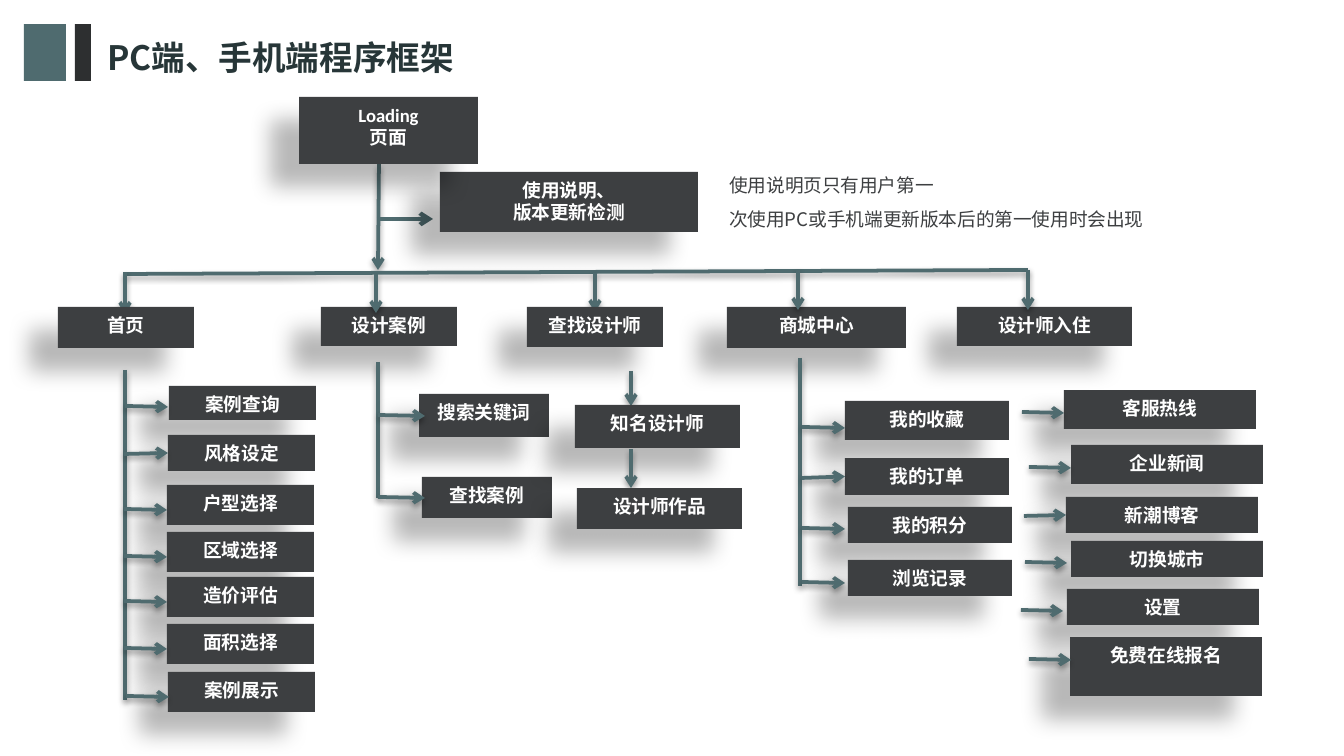
import pptx
import pptx.dml.color
import pptx.enum.shapes
import pptx.enum.text
import pptx.oxml
import pptx.oxml.ns
import pptx.util

RGB = pptx.dml.color.RGBColor
TEAL = RGB(0x4F, 0x6B, 0x6F)
BAR = RGB(0x2D, 0x2F, 0x30)
BOX = RGB(0x3D, 0x3F, 0x41)
TITLE = RGB(0x27, 0x36, 0x38)
WHITE = RGB(0xFF, 0xFF, 0xFF)
CJK = "Noto Sans CJK SC"
LATIN = "Calibri"
PX = 914400 / 134.4

# Shadows: blur and distance in EMU, direction in degrees, opacity in percent
BOX_SHADOW = (150000, 250000, 141, 28)
LINE_SHADOW = (40000, 20000, 90, 38)

# Sections: text, box, arrow x, top and tip, arrow drawn behind the box
SECTIONS = [
    ("首页", (58, 307, 136, 41), (125, 272, 314), True),
    ("设计案例", (321, 307, 136, 39), (376, 274, 313), False),
    ("查找设计师", (527, 307, 136, 40), (595, 273, 312), True),
    ("商城中心", (727, 307, 179, 41), (798, 270, 310), False),
    ("设计师入住", (957, 307, 175, 39), (1028, 270, 310), False),
]

# Columns: box width, arrow length, then text, x, y, height, arrow y and tip x
COLUMNS = [
    (147, 43, [
        ("案例查询", 169, 386, 34, 406, 168),
        ("风格设定", 168, 435, 36, 454, 167),
        ("户型选择", 167, 485, 40, 509, 167),
        ("区域选择", 167, 532, 40, 556, 167),
        ("造价评估", 167, 577, 40, 601, 167),
        ("面积选择", 167, 624, 40, 648, 167),
        ("案例展示", 168, 672, 40, 696, 169),
    ]),
    (130, 47, [
        ("搜索关键词", 419, 394, 43, 415, 425),
        ("查找案例", 422, 477, 41, 497, 425),
    ]),
    (164, 43, [
        ("我的收藏", 845, 401, 39, 427, 845),
        ("我的订单", 845, 458, 37, 478, 845),
        ("我的积分", 848, 507, 36, 528, 845),
        ("浏览记录", 848, 560, 36, 582, 845),
    ]),
    (192, 42, [
        ("客服热线", 1064, 390, 39, 412, 1064),
        ("企业新闻", 1071, 445, 39, 467, 1071),
        ("新潮博客", 1066, 497, 36, 516, 1066),
        ("切换城市", 1071, 541, 36, 562, 1067),
        ("设置", 1067, 589, 36, 610, 1063),
        ("免费在线报名", 1070, 637, 59, 659, 1071),
    ]),
]

# Vertical trunks beside the columns: x, top, bottom
TRUNKS = [(125, 370, 700), (378, 362, 498), (800, 358, 586)]


def px(n):
    return pptx.util.Emu(round(n * PX))


def set_effects(shape, shadow=None):
    """Replace inherited effects by the given shadow, or by none."""
    inner = ""
    if shadow:
        blur, dist, angle, alpha = shadow
        inner = (f'<a:outerShdw blurRad="{blur}" dist="{dist}" dir="{angle * 60000}" '
                 f'rotWithShape="0"><a:srgbClr val="000000">'
                 f'<a:alpha val="{alpha * 1000}"/></a:srgbClr></a:outerShdw>')
    xml = f'<a:effectLst {pptx.oxml.ns.nsdecls("a")}>{inner}</a:effectLst>'
    shape._element.spPr.append(pptx.oxml.parse_xml(xml))


def add_rect(s, x, y, w, h, color, shadow=None):
    kind = pptx.enum.shapes.MSO_SHAPE.RECTANGLE
    sp = s.shapes.add_shape(kind, px(x), px(y), px(w), px(h))
    sp.fill.solid()
    sp.fill.fore_color.rgb = color
    sp.line.fill.background()
    set_effects(sp, shadow)
    return sp


def write(sp, text, size, color, font, bold, spacing=1.0, center=True):
    tf = sp.text_frame
    tf.word_wrap = True
    tf.vertical_anchor = pptx.enum.text.MSO_ANCHOR.TOP
    tf.text = text
    align = pptx.enum.text.PP_ALIGN
    for p in tf.paragraphs:
        p.alignment = align.CENTER if center else align.LEFT
        p.line_spacing = spacing
        for r in p.runs:
            r.font.size = pptx.util.Pt(size)
            r.font.bold = bold
            r.font.name = font
            r.font.color.rgb = color


def add_box(s, text, x, y, w, h, font=LATIN):
    sp = add_rect(s, x, y, w, h, BOX, BOX_SHADOW)
    write(sp, text, 10, WHITE, font, True)
    return sp


def add_text(s, text, x, y, w, h, size, color, bold, spacing, center):
    sp = s.shapes.add_textbox(px(x), px(y), px(w), px(h))
    write(sp, text, size, color, CJK, bold, spacing, center)


def add_line(s, x1, y1, x2, y2, arrow=True, width=2, shadow=LINE_SHADOW):
    kind = pptx.enum.shapes.MSO_CONNECTOR.STRAIGHT
    line = s.shapes.add_connector(kind, px(x1), px(y1), px(x2), px(y2))
    line.line.color.rgb = TEAL
    line.line.width = pptx.util.Pt(width)
    if arrow:
        xml = f'<a:tailEnd {pptx.oxml.ns.nsdecls("a")} type="arrow"/>'
        line.line._get_or_add_ln().append(pptx.oxml.parse_xml(xml))
    set_effects(line, shadow)
    return line


def add_section(s, text, box, arrow, behind):
    x, top, tip = arrow
    if behind:
        add_line(s, x, top, x, tip)
    add_box(s, text, *box, font=CJK)
    if not behind:
        add_line(s, x, top, x, tip)


def add_column(s, width, length, items):
    for text, x, y, h, arrow_y, tip in items:
        sp = add_box(s, text, x, y, width, h)
        line = add_line(s, tip - length, arrow_y, tip, arrow_y + 1)
        if abs(tip - x) <= 2 and abs(arrow_y - y - h / 2) <= 2:
            line.end_connect(sp, 1)


def main():
    prs = pptx.Presentation()
    prs.slide_width, prs.slide_height = px(1344), px(756)
    s = prs.slides.add_slide(prs.slide_layouts[6])

    # Heading
    add_rect(s, 24, 24, 42, 57, TEAL)
    add_rect(s, 75, 24, 16, 57, BAR)
    add_text(s, "PC端、手机端程序框架", 48, 18, 465, 66, 18, TITLE, True, 1.3, True)

    # Start page and notice
    add_line(s, 379, 164, 378, 270)
    add_line(s, 124, 274, 1028, 270, arrow=False)
    add_text(s, "使用说明页只有用户第一\n次使用PC或手机端更新版本后的第一使用时会出现",
             716, 156, 570, 81, 10, BOX, False, 1.5, False)
    add_line(s, 377, 219, 433, 219, width=2.25, shadow=None)
    add_box(s, "使用说明、\n版本更新检测", 440, 172, 258, 60)

    # Main sections
    for section in SECTIONS:
        add_section(s, *section)

    # Pages below each section
    for x, top, bottom in TRUNKS:
        add_line(s, x, top, x, bottom, arrow=False)
    for column in COLUMNS:
        add_column(s, *column)

    # Designer chain
    add_line(s, 631, 371, 631, 406)
    add_box(s, "知名设计师", 575, 405, 165, 43)
    add_line(s, 631, 449, 631, 488)
    add_box(s, "设计师作品", 577, 488, 165, 41)

    add_box(s, "Loading\n页面", 299, 97, 179, 67)
    prs.save("out.pptx")


if __name__ == "__main__":
    main()
